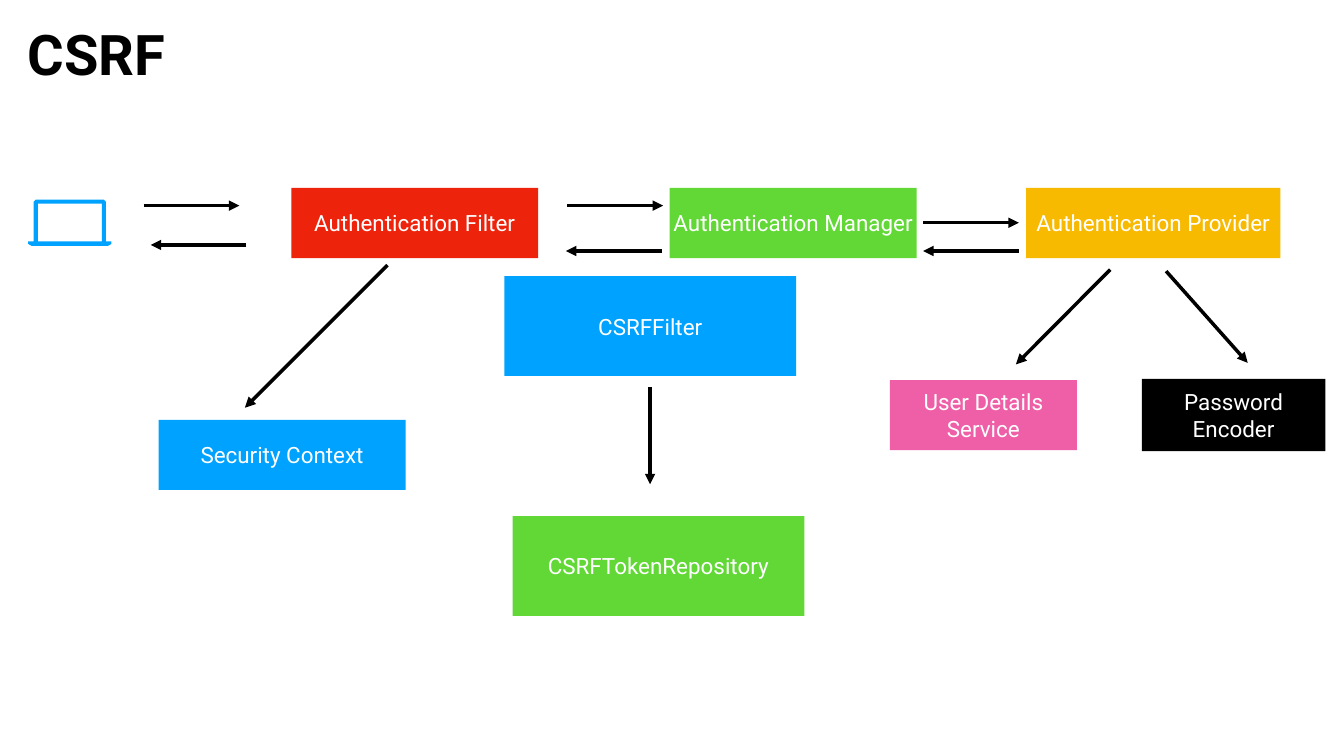
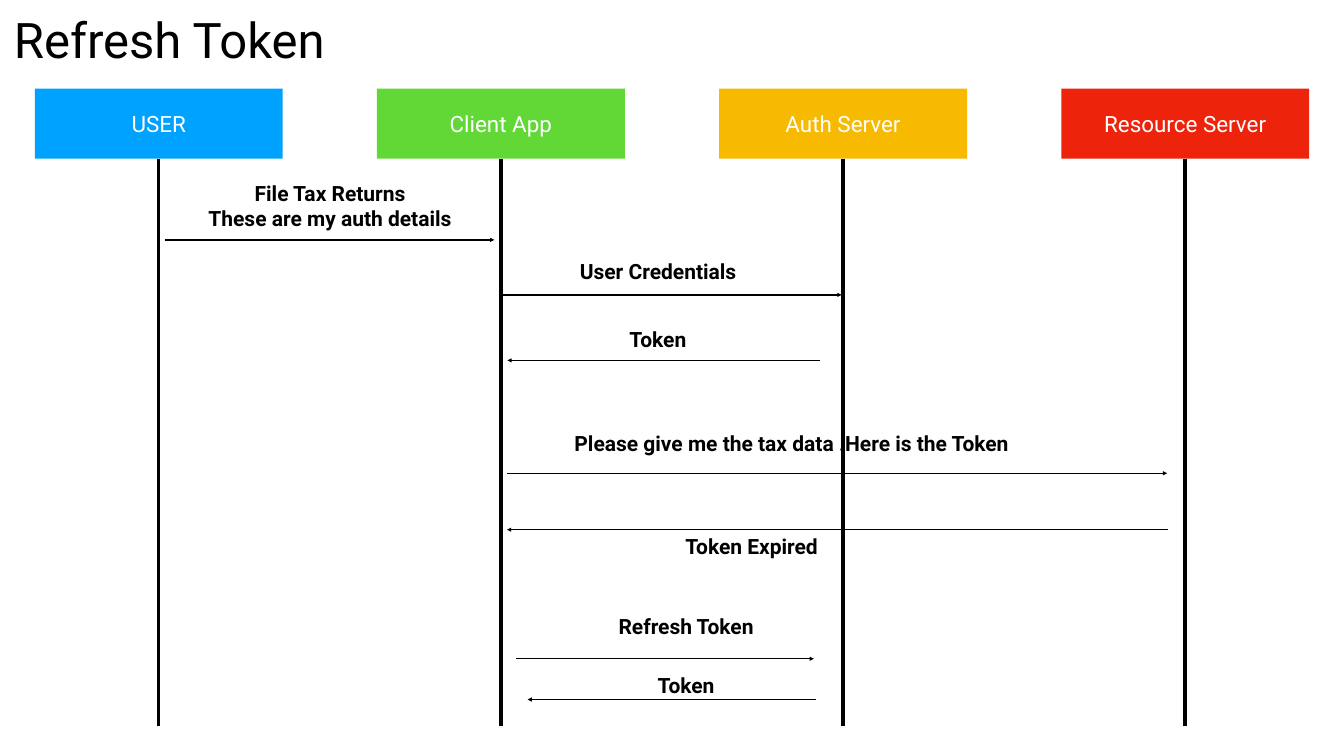
from lxml.etree import SubElement
from pptx import Presentation
from pptx.dml.color import RGBColor
from pptx.enum.shapes import MSO_CONNECTOR, MSO_SHAPE
from pptx.enum.text import MSO_ANCHOR, MSO_AUTO_SIZE, PP_ALIGN
from pptx.oxml.ns import qn
from pptx.util import Inches, Pt

COLORS = {
    "blue": "00A2FF",
    "green": "61D836",
    "yellow": "F7BA01",
    "red": "EE230C",
    "pink": "EF5FA7",
    "black": "000000",
    "white": "FFFFFF",
}
FONT = "Roboto"

prs = Presentation()
prs.slide_width, prs.slide_height = Inches(26.67), Inches(15)
CELL = prs.slide_height / 45
BOX_H = 4.17


def write(s, text, x, y, w, h, fill=None, size=32, color="white", bold=False):
    area = [round(n * CELL) for n in (x, y, w, h)]
    if fill:
        sp = s.shapes.add_shape(MSO_SHAPE.RECTANGLE, *area)
        sp.shadow.inherit = False
        sp.fill.solid()
        sp.fill.fore_color.rgb = RGBColor.from_string(COLORS[fill])
        sp.line.fill.background()
    else:
        sp = s.shapes.add_textbox(*area)
    tf = sp.text_frame
    tf.word_wrap = bool(fill)
    tf.auto_size = MSO_AUTO_SIZE.NONE if fill else MSO_AUTO_SIZE.SHAPE_TO_FIT_TEXT
    tf.vertical_anchor = MSO_ANCHOR.MIDDLE
    inset = Inches(0 if fill else 0.06)
    tf.margin_left = tf.margin_right = tf.margin_top = tf.margin_bottom = inset
    for i, line in enumerate(text.split("\n")):
        p = tf.paragraphs[0] if i == 0 else tf.add_paragraph()
        p.alignment = PP_ALIGN.CENTER
        r = p.add_run()
        r.text = line
        r.font.name, r.font.size, r.font.bold = FONT, Pt(size), bold
        r.font.color.rgb = RGBColor.from_string(COLORS[color])


def connect(s, x1, y1, x2, y2, width=5, arrow=True):
    ends = [round(n * CELL) for n in (x1, y1, x2, y2)]
    sp = s.shapes.add_connector(MSO_CONNECTOR.STRAIGHT, *ends)
    sp.line.width = Pt(width)
    sp.line.color.rgb = RGBColor.from_string(COLORS["black"])
    if arrow:
        SubElement(sp.line._get_or_add_ln(), qn("a:tailEnd"), type="triangle")
    SubElement(sp._element.spPr, qn("a:effectLst"))


s = prs.slides.add_slide(prs.slide_layouts[6])
write(s, "CSRF", 1.05, 1.02, 9.39, 4.29, size=80, color="black", bold=True)

for text, x, y, w, h, fill in [
    ("CSRFFilter", 30.03, 16.44, 17.37, 5.94, "blue"),
    ("CSRFTokenRepository", 30.51, 30.72, 17.37, 5.94, "green"),
    ("Authentication Filter", 17.34, 11.19, 14.7, BOX_H, "red"),
    ("Authentication Manager", 39.87, 11.19, 14.7, BOX_H, "green"),
    ("Authentication Provider", 61.08, 11.19, 15.15, BOX_H, "yellow"),
    ("User Details Service", 52.98, 22.62, 11.13, BOX_H, "pink"),
    ("Password Encoder", 67.98, 22.56, 10.92, 4.29, "black"),
    ("Security Context", 9.45, 24.99, 14.7, BOX_H, "blue"),
]:
    write(s, text, x, y, w, h, fill=fill)

STEP = 5.7
for x, y, step in [
    (8.55, 12.24, STEP),
    (14.67, 14.58, -STEP),
    (33.78, 12.24, STEP),
    (39.39, 14.94, -STEP),
    (54.96, 13.26, STEP),
    (60.66, 14.94, -STEP),
]:
    connect(s, x, y, x + step, y)

for ends in [
    (38.7, 23.04, 38.7, 28.83),
    (23.07, 15.78, 14.58, 24.27),
    (66.09, 16.05, 60.48, 21.69),
    (69.42, 16.14, 74.28, 21.6),
]:
    connect(s, *ends)

laptop = [
    (2.13, 11.88), (2.01, 12.0), (2.01, 14.37), (1.68, 14.37), (1.68, 14.52),
    (1.89, 14.64), (6.42, 14.64), (6.63, 14.52), (6.63, 14.37), (6.3, 14.37),
    (6.3, 12.0), (6.18, 11.88),
]
screen = [(2.25, 12.12), (6.06, 12.12), (6.06, 14.37), (2.25, 14.37)]
laptop, screen = [[(x * CELL, y * CELL) for x, y in ring] for ring in (laptop, screen)]
outline = s.shapes.build_freeform(*laptop[0])
outline.add_line_segments(laptop[1:])
outline.move_to(*screen[0])
outline.add_line_segments(screen[1:])
sp = outline.convert_to_shape()
sp.shadow.inherit = False
sp.fill.solid()
sp.fill.fore_color.rgb = RGBColor.from_string(COLORS["blue"])
sp.line.fill.background()

s = prs.slides.add_slide(prs.slide_layouts[6])
LANE_X, LANE_STEP, LANE_W = 2.07, 20.37, 14.76
LANE_TOP, LANE_END = 5.28, 43.23

for i, (text, fill) in enumerate([
    ("USER", "blue"),
    ("Client App", "green"),
    ("Auth Server", "yellow"),
    ("Resource Server", "red"),
]):
    x = LANE_X + i * LANE_STEP
    middle = x + LANE_W / 2
    write(s, text, x, LANE_TOP, LANE_W, BOX_H, fill=fill)
    connect(s, middle, LANE_END, middle, LANE_TOP + BOX_H, arrow=False)

write(s, "Refresh Token", 0.63, 0.42, 18.9, 3.75, size=70, color="black")

for text, x, y, w, h, start, end, arrow_y in [
    ("File Tax Returns\nThese are my auth details", 11.82, 10.56, 15.66, 3.39, 9.84, 29.43, 14.28),
    ("User Credentials", 34.02, 15.24, 10.32, 1.83, 29.88, 50.1, 17.55),
    ("Token", 37.2, 19.29, 3.93, 1.83, 48.81, 30.21, 21.45),
    ("Please give me the tax data .Here is the Token", 33.24, 25.44, 27.78, 1.83, 30.21, 69.48, 28.17),
    ("Token Expired", 40.35, 31.59, 8.79, 1.83, 69.51, 30.18, 31.53),
    ("Refresh Token", 36.39, 36.33, 8.91, 1.83, 30.72, 48.45, 39.21),
    ("Token", 38.88, 39.87, 3.93, 1.83, 48.57, 31.41, 41.64),
]:
    connect(s, start, arrow_y, end, arrow_y, width=2)
    write(s, text, x, y, w, h, size=30, color="black", bold=True)

prs.save("out.pptx")
